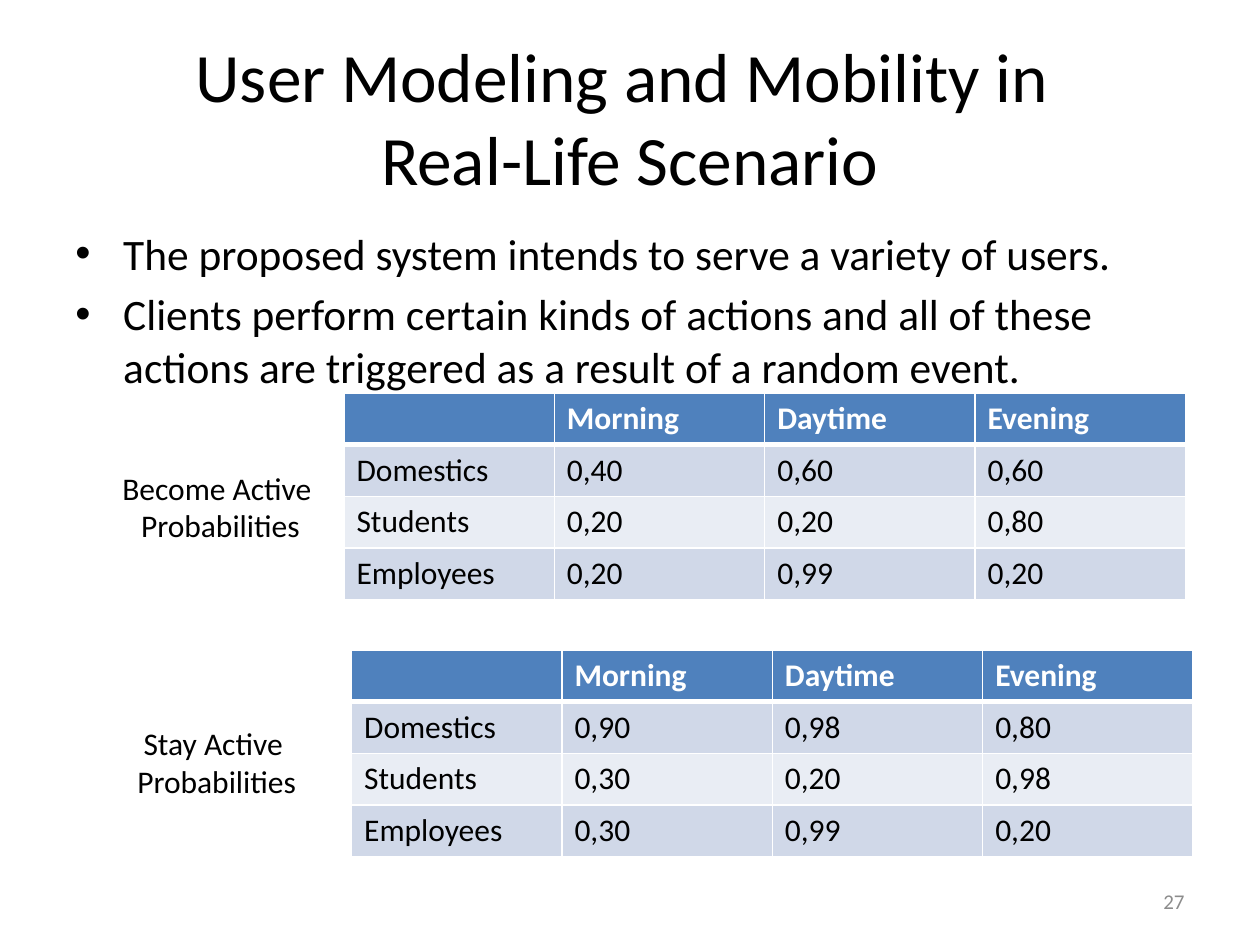
import pptx
import pptx.dml.color
import pptx.enum.text
import pptx.oxml
import pptx.oxml.ns
import pptx.util
from pptx.util import Inches

COLORS = {
    "text": "000000",
    "white": "FFFFFF",
    "header": "4F81BD",
    "band_dark": "D0D8E8",
    "band_light": "E9EDF4",
    "number": "8C8C8C",
}
ALIGN = pptx.enum.text.PP_ALIGN
ANCHOR = pptx.enum.text.MSO_ANCHOR
PERIODS = ["", "Morning", "Daytime", "Evening"]
BECOME_ACTIVE = [
    ["Domestics", "0,40", "0,60", "0,60"],
    ["Students", "0,20", "0,20", "0,80"],
    ["Employees", "0,20", "0,99", "0,20"],
]
STAY_ACTIVE = [
    ["Domestics", "0,90", "0,98", "0,80"],
    ["Students", "0,30", "0,20", "0,98"],
    ["Employees", "0,30", "0,99", "0,20"],
]


class SlideBuilder:
    """Holds the style and the current slide, and adds each kind of element."""

    def __init__(self, slide, font="Calibri"):
        self.slide = slide
        self.font = font

    def color(self, name):
        return pptx.dml.color.RGBColor.from_string(COLORS[name])

    def run(self, paragraph, text, size, color="text", bold=False):
        run = paragraph.add_run()
        run.text = text
        run.font.name = self.font
        run.font.size = pptx.util.Pt(size)
        run.font.bold = bold
        run.font.color.rgb = self.color(color)

    def frame(self, left, top, width, height, anchor=ANCHOR.TOP, wrap=True):
        box = self.slide.shapes.add_textbox(
            Inches(left), Inches(top), Inches(width), Inches(height))
        box.text_frame.word_wrap = wrap
        box.text_frame.vertical_anchor = anchor
        return box.text_frame

    def title(self, lines, *place):
        paragraph = self.frame(*place, anchor=ANCHOR.MIDDLE).paragraphs[0]
        paragraph.alignment = ALIGN.CENTER
        for index, line in enumerate(lines):
            if index:
                paragraph.add_line_break()
            self.run(paragraph, line, 39.6)

    def paragraphs(self, frame, lines):
        for index, line in enumerate(lines):
            yield frame.add_paragraph() if index else frame.paragraphs[0], line

    def bullets(self, lines, *place):
        for paragraph, line in self.paragraphs(self.frame(*place), lines):
            paragraph.space_before = pptx.util.Pt(5)
            self.run(paragraph, line, 24.8)
            properties = paragraph._p.get_or_add_pPr()
            properties.set("marL", str(Inches(0.38)))
            properties.set("indent", str(-Inches(0.38)))
            namespace = pptx.oxml.ns.nsdecls("a")
            for tag in ('buFont typeface="Arial"', 'buChar char="•"'):
                properties.append(pptx.oxml.parse_xml(f"<a:{tag} {namespace}/>"))

    def label(self, lines, *place):
        frame = self.frame(*place, wrap=False)
        for paragraph, line in self.paragraphs(frame, lines):
            paragraph.alignment = ALIGN.CENTER
            self.run(paragraph, line, 18)

    def page_number(self, text, *place):
        paragraph = self.frame(*place, anchor=ANCHOR.MIDDLE).paragraphs[0]
        paragraph.alignment = ALIGN.RIGHT
        self.run(paragraph, text, 12, "number")

    def borders(self, cell, row):
        widths = {"L": 1, "R": 1, "T": 3 if row == 1 else 1, "B": 3 if row == 0 else 1}
        for side, width in widths.items():
            cell._tc.get_or_add_tcPr().append(pptx.oxml.parse_xml(
                f'<a:ln{side} {pptx.oxml.ns.nsdecls("a")} w="{pptx.util.Pt(width)}">'
                f'<a:solidFill><a:srgbClr val="{COLORS["white"]}"/></a:solidFill>'
                f'</a:ln{side}>'))

    def table(self, rows, left, top, column_width=1.67, row_height=0.41):
        table = self.slide.shapes.add_table(
            len(rows), len(rows[0]), Inches(left), Inches(top),
            Inches(column_width * len(rows[0])), Inches(row_height * len(rows))).table
        for column in table.columns:
            column.width = Inches(column_width)
        for row, values in enumerate(rows):
            table.rows[row].height = Inches(row_height)
            header = row == 0
            fill = "header" if header else ("band_light", "band_dark")[row % 2]
            for column, value in enumerate(values):
                cell = table.cell(row, column)
                self.borders(cell, row)
                cell.fill.solid()
                cell.fill.fore_color.rgb = self.color(fill)
                if value:
                    self.run(cell.text_frame.paragraphs[0], value, 18,
                             "white" if header else "text", header)


def main():
    presentation = pptx.Presentation()
    presentation.slide_width = Inches(10)
    presentation.slide_height = Inches(7.5)
    builder = SlideBuilder(presentation.slides.add_slide(presentation.slide_layouts[6]))

    builder.title(["User Modeling and Mobility in ", "Real-Life Scenario"],
                  0.5, 0.3, 9, 1.25)
    builder.bullets([
        "The proposed system intends to serve a variety of users.",
        "Clients perform certain kinds of actions and all of these actions "
        "are triggered as a result of a random event.",
    ], 0.5, 1.75, 9, 2.08)
    builder.table([PERIODS] + BECOME_ACTIVE, 2.73, 3.12)
    builder.table([PERIODS] + STAY_ACTIVE, 2.79, 5.16)
    builder.label(["Become Active ", "Probabilities"], 0.86, 3.67, 1.78, 0.71)
    builder.label(["Stay Active ", "Probabilities"], 0.98, 5.7, 1.48, 0.71)
    builder.page_number("27", 7.17, 6.95, 2.33, 0.4)

    presentation.save("out.pptx")


if __name__ == "__main__":
    main()
